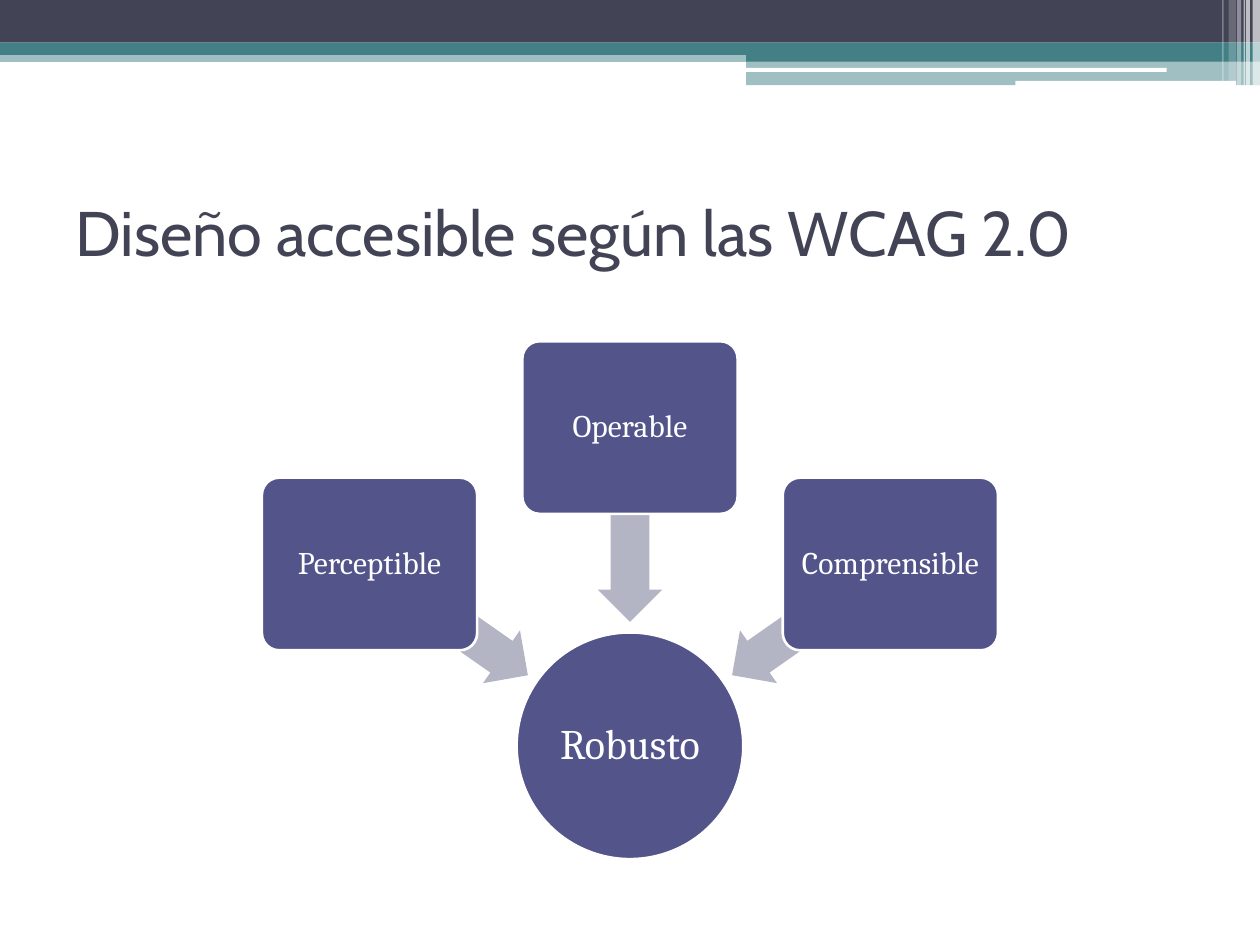
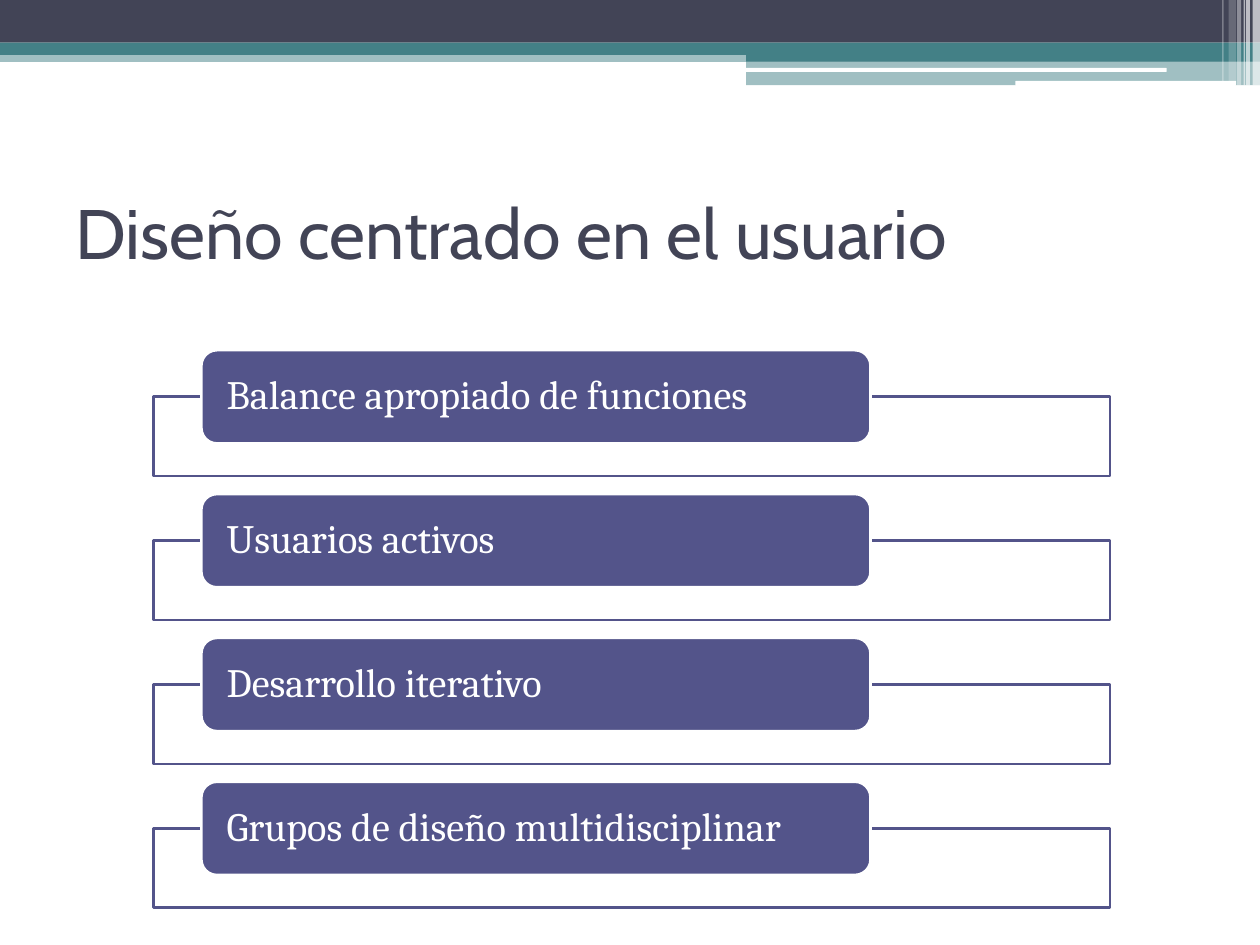
from dataclasses import dataclass, field
from typing import Any

from pptx import Presentation
from pptx import util as u
from pptx.dml.color import RGBColor
from pptx.enum import shapes, text
from pptx.oxml.ns import qn
from pptx.oxml.xmlchemy import OxmlElement

NAVY, TEAL, INDIGO, GREY, WHITE = "424456", "438086", "53548A", "B3B4C4", "FFFFFF"
WIDTH, HEIGHT = 25.4, 19.05
KIND = shapes.MSO_SHAPE
ALIGN = text.PP_ALIGN


@dataclass(frozen=True)
class Block:
    left: float
    top: float
    width: float
    height: float
    fill: str
    opacity: int = 100
    kind: Any = KIND.RECTANGLE
    line: str = ""
    rotation: float = 0
    adjust: tuple[float, ...] = ()


@dataclass(frozen=True)
class Style:
    size: float
    font: str = "Cambria"
    colour: str = WHITE
    align: Any = ALIGN.CENTER
    spacing: float = 0.9
    margins: dict[str, float] = field(default_factory=dict)


def margins(side: float, ends: float) -> dict[str, float]:
    return dict(margin_left=side, margin_right=side, margin_top=ends, margin_bottom=ends)


HEADER = [
    Block(0, 1.02, WIDTH, 0.23, TEAL, 50),
    Block(0, 0, WIDTH, 0.86, NAVY),
    Block(0, 0.86, WIDTH, 0.25, TEAL),
    Block(15.04, 0.99, 10.36, 0.25, TEAL),
    Block(15.04, 1.23, 10.36, 0.49, TEAL, 50),
    Block(15.01, 1.37, 8.51, 0.08, WHITE, kind=KIND.ROUNDED_RECTANGLE),
    Block(20.47, 1.63, 4.45, 0.1, WHITE, kind=KIND.ROUNDED_RECTANGLE),
] + [
    Block(left, 0, width, height, WHITE, opacity)
    for left, width, height, opacity in [
        (25.25, 0.15, 1.73, 65),
        (25.12, 0.08, 1.73, 65),
        (25.07, 0.03, 1.73, 60),
        (24.94, 0.08, 1.73, 40),
        (24.77, 0.15, 1.63, 20),
        (24.64, 0.03, 1.63, 30),
    ]
]
CORE = Style(24, margins=margins(0.05, 0.05))
PILLAR = Style(18, margins=margins(0.1, 0.1))
PRINCIPLE = Style(23, align=ALIGN.LEFT, margins=margins(0.42, 0))


def rgb(colour: str) -> RGBColor:
    return RGBColor.from_string(colour)


def apply(target: Any, values: dict[str, Any]) -> None:
    for name, value in values.items():
        setattr(target, name, value)


def write(sp: Any, words: str, style: Style) -> None:
    tf = sp.text_frame
    apply(tf, dict(word_wrap=True, vertical_anchor=text.MSO_ANCHOR.MIDDLE))
    apply(tf, {name: u.Cm(size) for name, size in style.margins.items()})
    p = tf.paragraphs[0]
    apply(p, dict(alignment=style.align, line_spacing=style.spacing))
    r = p.add_run()
    r.text = words
    apply(r.font, dict(name=style.font, size=u.Pt(style.size)))
    r.font.color.rgb = rgb(style.colour)


def draw(s: Any, block: Block) -> Any:
    box = [u.Cm(n) for n in (block.left, block.top, block.width, block.height)]
    sp = s.shapes.add_shape(block.kind, *box)
    sp.shadow.inherit = False
    sp.rotation = block.rotation
    for i, value in enumerate(block.adjust):
        sp.adjustments[i] = value
    sp.fill.solid()
    sp.fill.fore_color.rgb = rgb(block.fill)
    if block.opacity < 100:
        alpha = OxmlElement("a:alpha")
        alpha.set("val", str(block.opacity * 1000))
        sp.element.spPr.find(qn("a:solidFill"))[0].append(alpha)
    if block.line:
        sp.line.color.rgb = rgb(block.line)
        sp.line.width = u.Pt(1.5)
    else:
        sp.line.fill.background()
    return sp


def add_slide(prs: Any, title: str, size: float) -> Any:
    s = prs.slides.add_slide(prs.slide_layouts[6])
    for block in HEADER:
        draw(s, block)
    sp = s.shapes.add_textbox(u.Cm(1.27), u.Cm(3.18), u.Cm(22.86), u.Cm(2.97))
    write(sp, title, Style(size, "Cabin", NAVY, ALIGN.LEFT, 1.0))
    return s


def build_accessibility(prs: Any) -> None:
    s = add_slide(prs, "Diseño accesible según las WCAG 2.0", 36)
    centre, core = WIDTH / 2, 4.57
    circle = Block(centre - core / 2, 12.75, core, core, INDIGO, kind=KIND.OVAL, line=WHITE)
    write(draw(s, circle), "Robusto", CORE)
    card_w, arrow_w = 4.34, 3.91
    for side, name in zip((-1, 0, 1), ("Perceptible", "Operable", "Comprensible")):
        drop = abs(side)
        draw(s, Block(centre + side * 3.66 - arrow_w / 2, 9.93 + drop * 1.91, arrow_w, 1.3,
                      GREY, kind=KIND.LEFT_ARROW, rotation=270 + side * 55,
                      adjust=(0.6, 0.5)))
        card = Block(centre + side * 5.25 - card_w / 2, 6.88 + drop * 2.75, card_w, 3.48,
                     INDIGO, kind=KIND.ROUNDED_RECTANGLE, line=WHITE, adjust=(0.1,))
        write(draw(s, card), name, PILLAR)


def build_user_centred(prs: Any) -> None:
    s = add_slide(prs, "Diseño centrado en el usuario", 40)
    principles = ["Balance apropiado de funciones", "Usuarios activos",
                  "Desarrollo iterativo", "Grupos de diseño multidisciplinar"]
    for i, name in enumerate(principles):
        top = 7.06 + i * 2.9
        draw(s, Block(3.1, top + 0.94, 19.28, 1.6, WHITE, 90, line=INDIGO))
        label = Block(4.06, top, 13.49, 1.88, INDIGO, kind=KIND.ROUNDED_RECTANGLE, line=WHITE)
        write(draw(s, label), name, PRINCIPLE)


def main() -> None:
    prs = Presentation()
    apply(prs, dict(slide_width=u.Cm(WIDTH), slide_height=u.Cm(HEIGHT)))
    build_accessibility(prs)
    build_user_centred(prs)
    prs.save("out.pptx")


if __name__ == "__main__":
    main()
